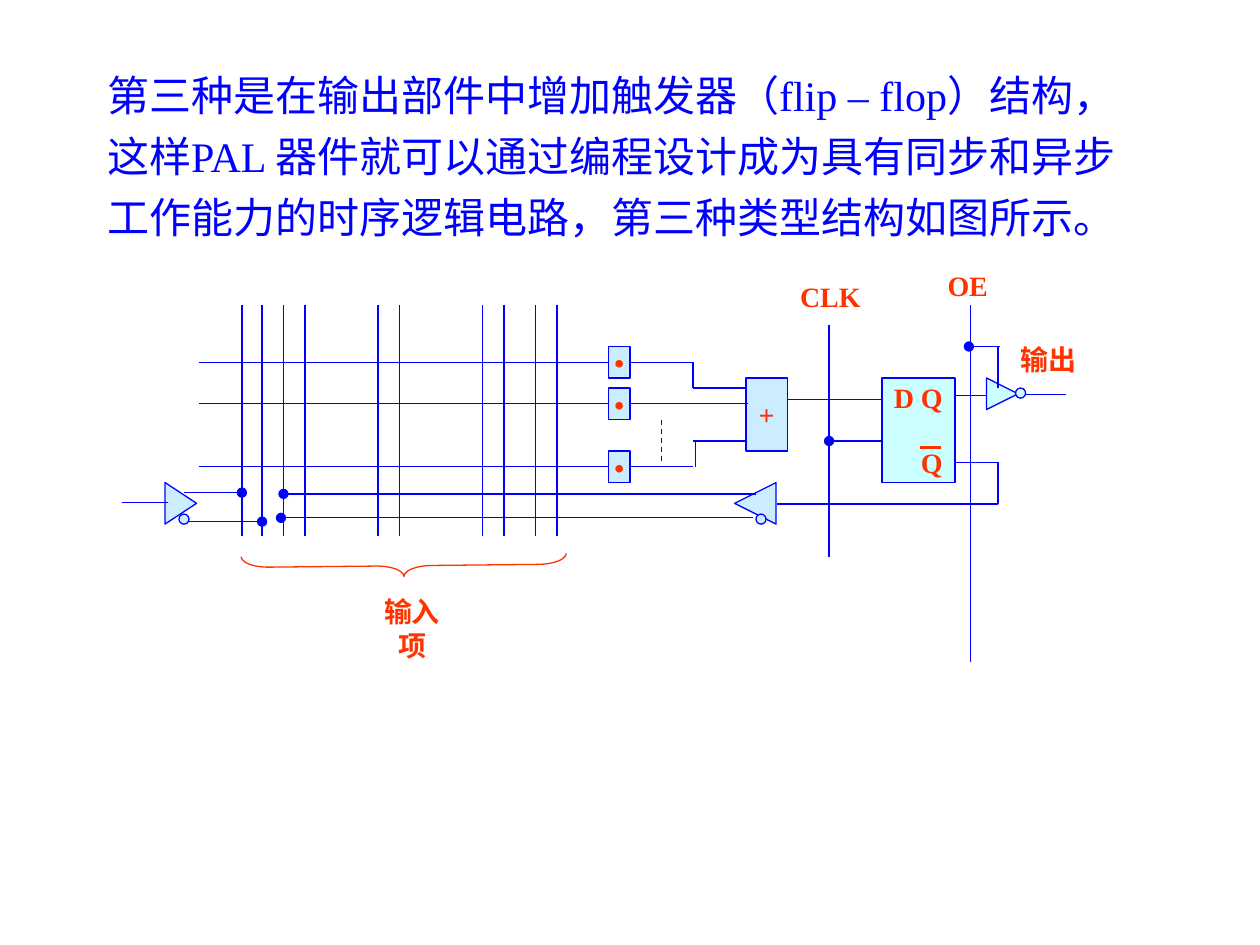
import pptx
import pptx.util
import pptx.dml.color
import pptx.enum.dml
import pptx.enum.shapes
import pptx.enum.text
import pptx.oxml
import pptx.oxml.ns
from lxml import etree

Inches, Pt = pptx.util.Inches, pptx.util.Pt
SHAPE = pptx.enum.shapes.MSO_SHAPE
ALIGN = pptx.enum.text.PP_ALIGN
qn = pptx.oxml.ns.qn

THEME = dict(font="Times New Roman", blue="0000FF", red="FF3300",
             pale="CCECFF", cyan="CCFFFF", body=24, label=16, line=0.75)

# Content
BODY = [
    "第三种是在输出部件中增加触发器（flip – flop）结构，",
    "这样PAL 器件就可以通过编程设计成为具有同步和异步",
    "工作能力的时序逻辑电路，第三种类型结构如图所示。",
]
LABELS = [  # text, left, top, width
    ("输入项", 2.84, 4.67, 0.86),
    ("输出", 8, 2.67, 0.64),
    ("OE", 7.42, 2.08, 0.52),
    ("CLK", 6.25, 2.17, 0.68),
]
AND_GATES = [(2.75, 5.5), (3.08, 5.94), (3.58, 5.5)]  # top, end of output wire
INPUT_COLUMNS = [1.92, 2.08, 2.25, 2.42, 3, 3.17, 3.83, 4, 4.25, 4.42]
BUFFERS = [  # preset, left, top, width, height, rotation, fill
    (SHAPE.FLOWCHART_EXTRACT, 1.27, 3.87, 0.33, 0.25, 90, "pale"),
    (SHAPE.FLOWCHART_EXTRACT, 5.83, 3.83, 0.33, 0.33, 270, "pale"),
    (SHAPE.FLOWCHART_MERGE, 7.83, 3, 0.25, 0.25, 270, "cyan"),
]
BUBBLES = [(1.42, 4.08, "pale"), (6, 4.08, "pale"), (8.06, 3.08, "cyan")]
WIRES = [  # x1, y1, x2, y2
    (5.5, 2.87, 5.5, 3.08), (5.5, 3.08, 5.92, 3.08),     # top gate to OR
    (5.5, 3.5, 5.92, 3.5), (5.52, 3.49, 5.52, 3.71),     # bottom gate to OR
    (0.97, 3.99, 1.33, 3.99),                            # input
    (6.25, 3.17, 7, 3.17),                               # OR to D
    (7.58, 3.67, 7.92, 3.67), (7.92, 3.67, 7.92, 4), (6.17, 4, 7.92, 4),  # feedback
    (7.58, 3.14, 7.83, 3.14), (8.13, 3.13, 8.46, 3.13),  # Q to output
    (6.58, 2.58, 6.58, 4.42),                            # clock
    (7.7, 2.42, 7.7, 5.25), (7.92, 2.75, 7.92, 3.08),    # output enable
]
JOINED_WIRES = [  # the second end carries a junction dot
    (1.46, 3.91, 1.92, 3.91), (1.5, 4.14, 2.08, 4.14),
    (6, 3.92, 2.25, 3.92), (5.98, 4.11, 2.23, 4.11),
    (7, 3.5, 6.58, 3.5), (7.94, 2.75, 7.69, 2.75),
]


def rgb(name):
    return pptx.dml.color.RGBColor.from_string(THEME[name])


def write(tf, lines, size="label", color="red", bold=True, align=ALIGN.CENTER,
          before=0, hanging=None, wrap=False):
    tf.word_wrap = wrap
    for i, text in enumerate(lines):
        p = tf.paragraphs[0] if i == 0 else tf.add_paragraph()
        p.alignment = align
        p.space_before = Pt(before if i else 0)
        if hanging:
            pPr = p._p.get_or_add_pPr()
            pPr.set("marL", str(Inches(hanging)))
            pPr.set("indent", str(-Inches(hanging)))
            etree.SubElement(pPr, qn("a:buNone"))
        r = p.add_run()
        r.text = text
        r.font.name = THEME["font"]
        r.font.size = Pt(THEME[size])
        r.font.bold = bold
        r.font.color.rgb = rgb(color)


def add_part(s, preset, x, y, w, h, fill="pale", line="blue", rotation=0):
    sp = s.shapes.add_shape(preset, Inches(x), Inches(y), Inches(w), Inches(h))
    sp.shadow.inherit = False
    sp.rotation = rotation
    if fill:
        sp.fill.solid()
        sp.fill.fore_color.rgb = rgb(fill)
    else:
        sp.fill.background()
    sp.line.color.rgb = rgb(line)
    sp.line.width = Pt(THEME["line"])
    return sp


def add_wire(s, x1, y1, x2, y2, color="blue", width=THEME["line"], dash=False, dot=False):
    c = s.shapes.add_connector(pptx.enum.shapes.MSO_CONNECTOR.STRAIGHT,
                               Inches(x1), Inches(y1), Inches(x2), Inches(y2))
    c.line.color.rgb = rgb(color)
    c.line.width = Pt(width)
    if dash:
        c.line.dash_style = pptx.enum.dml.MSO_LINE.DASH
    if dot:
        etree.SubElement(c.line._get_or_add_ln(), qn("a:tailEnd"), type="oval")
    etree.SubElement(c._element.spPr, qn("a:effectLst"))
    return c


def main():
    prs = pptx.Presentation()
    prs.slide_width, prs.slide_height = Inches(10), Inches(7.5)
    s = prs.slides.add_slide(prs.slide_layouts[1])
    title = s.shapes.title._element
    title.getparent().remove(title)

    # Body text
    body = s.placeholders[1]
    body.left, body.top = Inches(0.75), Inches(0.5)
    body.width, body.height = Inches(8.5), Inches(6.33)
    write(body.text_frame, BODY, size="body", color="blue", bold=False,
          align=ALIGN.LEFT, before=6, hanging=0.38, wrap=True)

    # OR gate and AND gates with their product lines
    or_gate = add_part(s, SHAPE.RECTANGLE, 5.92, 3, 0.33, 0.58)
    write(or_gate.text_frame, ["+"])
    for top, end in AND_GATES:
        gate = add_part(s, SHAPE.RECTANGLE, 4.83, top, 0.17, 0.25)
        write(gate.text_frame, ["•"])
        y = top + 0.125
        add_wire(s, 1.58, y, 4.83, y).end_connect(gate, 1)
        add_wire(s, 5, y, end, y).begin_connect(gate, 3)
    add_wire(s, 5.25, 3.33, 5.25, 3.67, dash=True)

    # Input columns
    for x in INPUT_COLUMNS:
        add_wire(s, x, 2.42, x, 4.25)

    # Flip-flop
    flip_flop = add_part(s, SHAPE.RECTANGLE, 7, 3, 0.58, 0.83, fill="cyan")
    tf = flip_flop.text_frame
    tf.margin_left = 0
    write(tf, ["D Q", "Q"], align=ALIGN.RIGHT, before=18, wrap=True)
    add_wire(s, 7.3, 3.55, 7.47, 3.55, color="red", width=1.5)

    # Buffers, wires and inversion bubbles
    for preset, x, y, w, h, rotation, fill in BUFFERS:
        add_part(s, preset, x, y, w, h, fill=fill, rotation=rotation)
    for wire in WIRES:
        add_wire(s, *wire)
    for wire in JOINED_WIRES:
        add_wire(s, *wire, dot=True)
    for x, y, fill in BUBBLES:
        add_part(s, SHAPE.OVAL, x, y, 0.08, 0.08, fill=fill)

    # Brace under the input columns
    brace = add_part(s, SHAPE.LEFT_BRACE, 3.12, 3.2, 0.17, 2.58,
                     fill=None, line="red", rotation=269.4)
    brace.adjustments[0] = 1.3

    # Labels
    for text, x, y, w in LABELS:
        box = s.shapes.add_textbox(Inches(x), Inches(y), Inches(w), Inches(0.37))
        write(box.text_frame, [text])

    prs.save("out.pptx")


if __name__ == "__main__":
    main()
